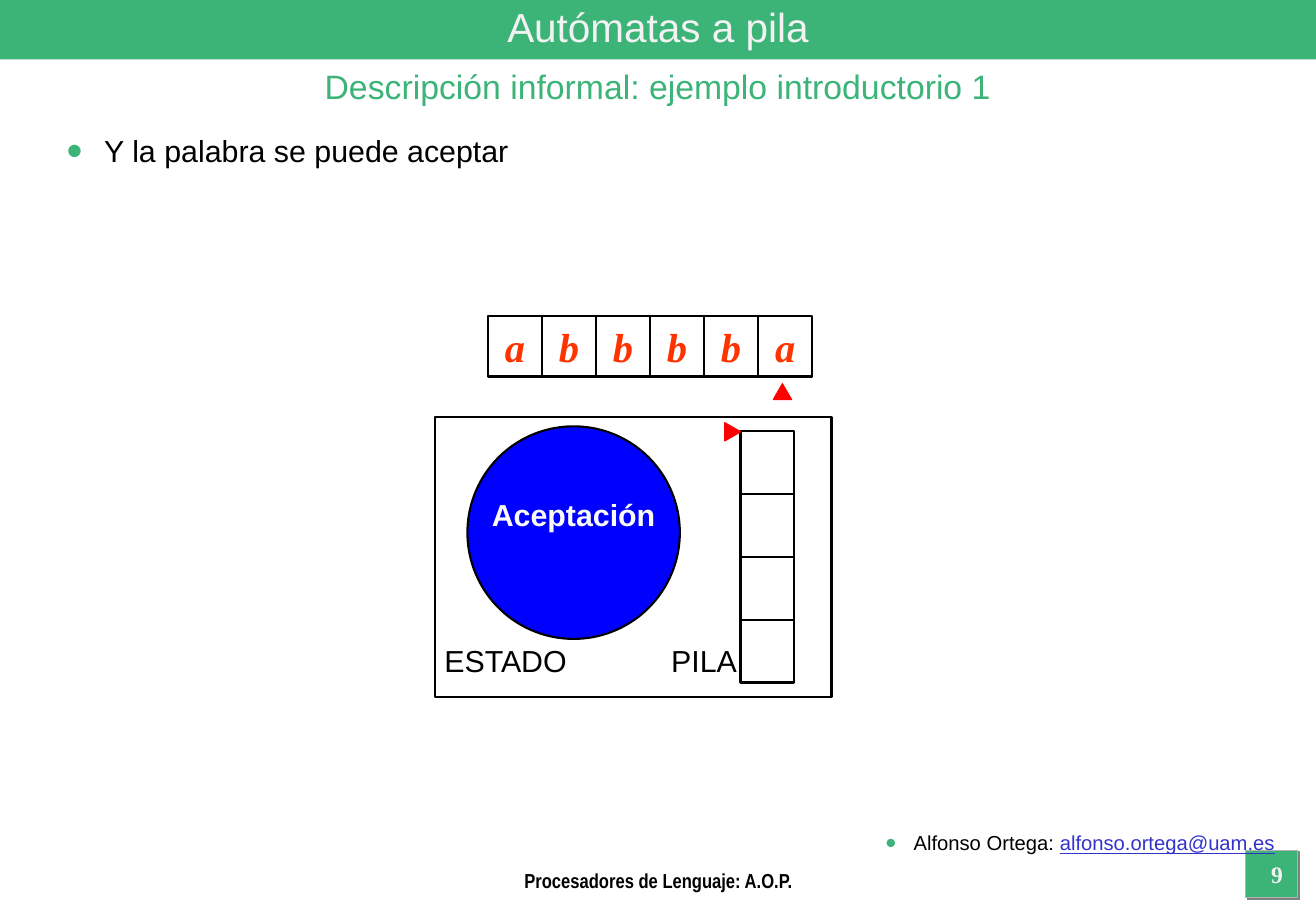
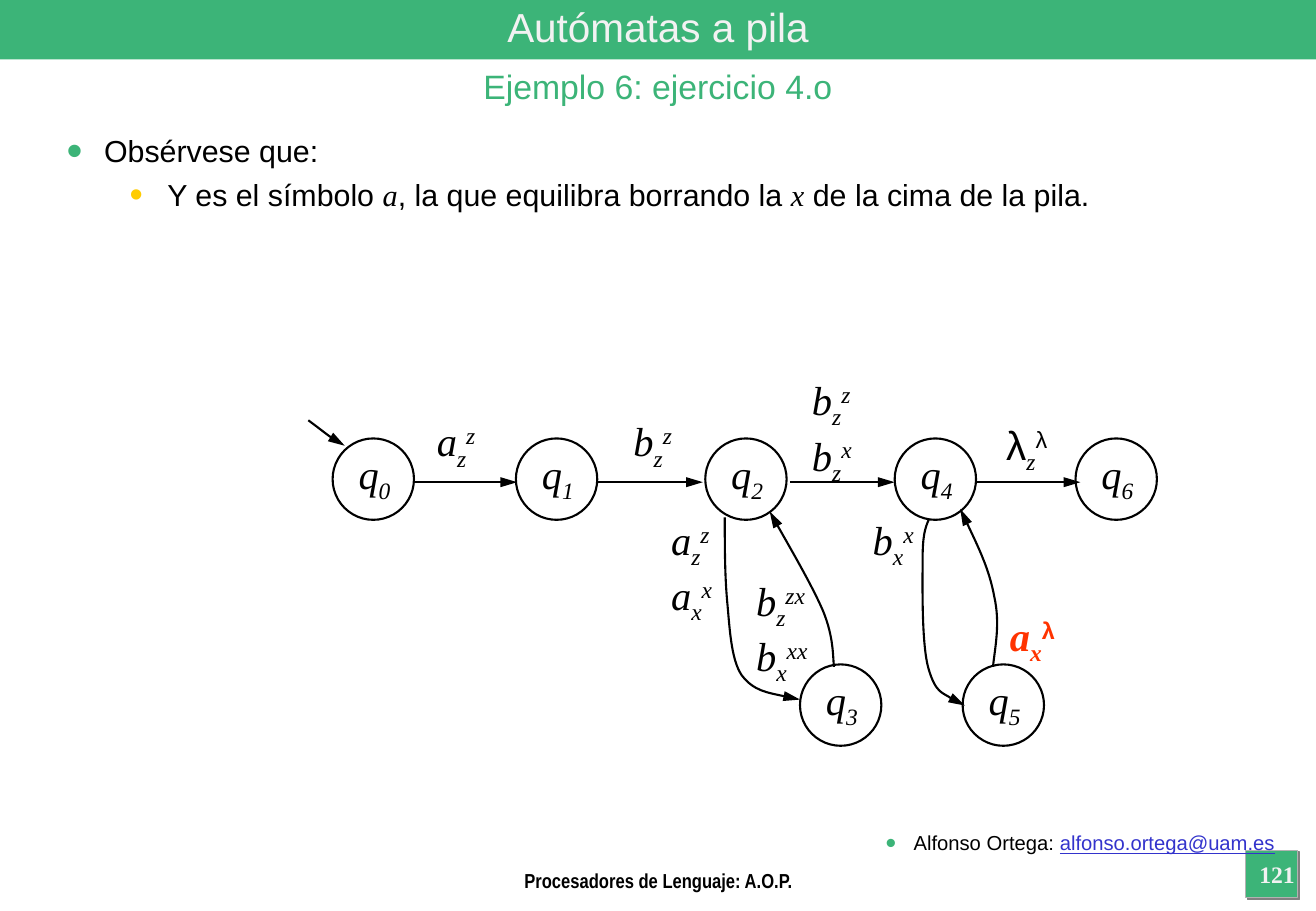
import lxml.etree
import pptx
import pptx.dml.color
import pptx.enum.shapes
import pptx.enum.text
import pptx.oxml.ns
import pptx.util

Inches = pptx.util.Inches
Pt = pptx.util.Pt
qn = pptx.oxml.ns.qn
SHAPES = pptx.enum.shapes.MSO_SHAPE
ALIGN = pptx.enum.text.PP_ALIGN
ANCHOR = pptx.enum.text.MSO_ANCHOR

COLORS = {
    "green": "3CB478", "pale": "F2F2F2", "white": "FAFAFA", "black": "000000",
    "link": "3333CC", "yellow": "FFCC00", "orange": "FF3300", "red": "FF0000",
    "blue": "0000FF", "silver": "B2B2B2", "gray": "808080",
}
SANS, NARROW, SERIF = "Arial", "Arial Narrow", "Times New Roman"
PAGE_WIDTH, PAGE_HEIGHT = 10.84, 7.5
STATE_SIZE = 0.67


def rgb(name):
    return pptx.dml.color.RGBColor.from_string(COLORS[name])


def set_font(font, name=SANS, size=18, color="black", bold=False, italic=False):
    font.name = name
    font.size = Pt(size)
    font.color.rgb = rgb(color)
    font.bold = bold
    font.italic = italic


def set_insets(frame, left=0.1, top=0.05, right=0.1, bottom=0.05):
    frame.margin_left, frame.margin_right = Inches(left), Inches(right)
    frame.margin_top, frame.margin_bottom = Inches(top), Inches(bottom)


def add_child(parent, tag, **attributes):
    return lxml.etree.SubElement(parent, qn(tag), attributes)


def add_bullet(para, color, percent, margin, hanging):
    properties = para._p.get_or_add_pPr()
    properties.set("marL", str(Inches(margin)))
    properties.set("indent", str(-Inches(hanging)))
    bullet_color = add_child(properties, "a:buClr")
    add_child(bullet_color, "a:srgbClr", val=COLORS[color])
    add_child(properties, "a:buSzPct", val=str(percent * 1000))
    add_child(properties, "a:buFont", typeface=SANS)
    add_child(properties, "a:buChar", char="•")


def add_run(para, text, baseline=0):
    run = para.add_run()
    run.text = text
    if baseline:
        run._r.get_or_add_rPr().set("baseline", str(baseline * 1000))
    return run


def add_box(page, left, top, width, height, wrap=True):
    box = page.shapes.add_textbox(Inches(left), Inches(top), Inches(width), Inches(height))
    box.text_frame.word_wrap = wrap
    set_insets(box.text_frame)
    return box.text_frame


def write(para, text, align=ALIGN.CENTER, **font):
    para.alignment = align
    set_font(para.font, **font)
    add_run(para, text)


def add_label(page, text, left, top, width, height, wrap=True, **font):
    frame = add_box(page, left, top, width, height, wrap)
    write(frame.paragraphs[0], text, **font)
    return frame


def add_figure(page, kind, left, top, width, height, fill=None, line="black", weight=1.25):
    figure = page.shapes.add_shape(
        kind, Inches(left), Inches(top), Inches(width), Inches(height))
    figure.shadow.inherit = False
    if fill:
        figure.fill.solid()
        figure.fill.fore_color.rgb = rgb(fill)
    else:
        figure.fill.background()
    if line:
        figure.line.color.rgb = rgb(line)
        figure.line.width = Pt(weight)
    else:
        figure.line.fill.background()
    return figure


def add_frame(page, subtitle, number):
    badge = add_figure(page, SHAPES.RECTANGLE, 10.26, 7, 0.43, 0.39, "green", "silver", 0.75)
    effects = badge.element.spPr.find(qn("a:effectLst"))
    shadow = add_child(effects, "a:outerShdw", dist=str(Pt(1.4)), dir="2700000")
    add_child(shadow, "a:srgbClr", val=COLORS["gray"])
    add_figure(page, SHAPES.RECTANGLE, 0, 0, PAGE_WIDTH, 0.49, "green", None)

    credit = add_box(page, 3.02, 6.79, 7.58, 0.44).paragraphs[0]
    add_bullet(credit, "green", 150, 0.23, 0.23)
    write(credit, "Alfonso Ortega: ", ALIGN.RIGHT, size=12)
    address = add_run(credit, "alfonso.ortega@uam.es")
    address.font.color.rgb = rgb("link")
    address.font.underline = True

    title = add_label(page, "Autómatas a pila", 0, 0, PAGE_WIDTH, 0.44, size=24, color="pale")
    title.vertical_anchor = ANCHOR.MIDDLE
    add_label(page, subtitle, 0, 0.49, PAGE_WIDTH, 0.44, size=20, color="green")
    add_label(page, "Procesadores de Lenguaje: A.O.P.", 3.02, 7.1, 4.81, 0.18,
              name=NARROW, size=12, bold=True)
    add_label(page, str(number), 10.25, 7.03, 0.54, 0.35,
              name=SERIF, size=14, color="pale", bold=True)


def add_body(page, height, heading, detail=()):
    frame = add_box(page, 0.45, 1.04, 9.96, height)
    para = frame.paragraphs[0]
    add_bullet(para, "green", 150, 0.31, 0.31)
    write(para, heading, ALIGN.LEFT)
    if detail:
        para = frame.add_paragraph()
        para.level = 1
        para.space_before = Pt(4.5)
        add_bullet(para, "yellow", 125, 0.83, 0.31)
        set_font(para.font)
        for text, symbol in detail:
            run = add_run(para, text)
            if symbol:
                run.font.name = SERIF
                run.font.italic = True


def add_tape(page, word, left, top, width, height):
    cell_width = width / len(word)
    for index, letter in enumerate(word):
        cell = add_figure(page, SHAPES.RECTANGLE, left + index * cell_width, top,
                          cell_width, height)
        set_insets(cell.text_frame)
        cell.text_frame.vertical_anchor = ANCHOR.TOP
        write(cell.text_frame.paragraphs[0], letter, name=SERIF, size=24,
              color="orange", bold=True, italic=True)


def add_stack(page, count, left, top, width, height):
    cell_height = height / count
    for index in range(count):
        add_figure(page, SHAPES.RECTANGLE, left, top + index * cell_height, width, cell_height)


def add_pointer(page, left, top, rotation):
    pointer = add_figure(page, SHAPES.ISOSCELES_TRIANGLE, left, top, 0.15, 0.13,
                         "red", "red", 0.75)
    pointer.rotation = rotation


def add_circle(page, left, top, size, shift, lift, fill=None):
    circle = add_figure(page, SHAPES.OVAL, left, top, size, size, fill)
    frame = circle.text_frame
    frame.word_wrap = False
    frame.vertical_anchor = ANCHOR.MIDDLE
    set_insets(frame, 2 * shift, 0, 0, 2 * lift)
    return frame.paragraphs[0]


def add_state(page, index, left, top):
    para = add_circle(page, left, top, STATE_SIZE, 0.01, 0.02)
    write(para, "q", name=SERIF, size=24, italic=True)
    add_run(para, str(index), -25)


def add_transitions(page, left, top, rules, color="black", bold=False):
    frame = add_box(page, left, top, 0.7, 0.11 + 0.45 * len(rules))
    for index, rule in enumerate(rules):
        para = frame.add_paragraph() if index else frame.paragraphs[0]
        set_font(para.font, SERIF, 24, color, bold, italic=True)
        for text, baseline in zip(rule, (0, -25, 30)):
            run = add_run(para, text, baseline)
            if text == "λ":
                run.font.name = SANS
                run.font.italic = False


def finish_arrow(arrow):
    arrow.line.color.rgb = rgb("black")
    arrow.line.width = Pt(1.25)
    properties = arrow.element.spPr
    add_child(properties.find(qn("a:ln")), "a:tailEnd", type="triangle", w="med", len="lg")
    if properties.find(qn("a:effectLst")) is None:
        add_child(properties, "a:effectLst")


def add_arrow(page, left, top, length):
    finish_arrow(page.shapes.add_connector(
        pptx.enum.shapes.MSO_CONNECTOR.STRAIGHT,
        Inches(left), Inches(top), Inches(left + length), Inches(top)))


def bend_segments(curve):
    segments = list(curve.element.iter(qn("a:lnTo")))
    outline = segments[0].getparent()
    for first in range(0, len(segments), 3):
        bend = add_child(outline, "a:cubicBezTo")
        for segment in segments[first:first + 3]:
            bend.append(segment[0])
            outline.remove(segment)


def add_curve(page, points):
    start, *others = [(Inches(left), Inches(top)) for left, top in points]
    builder = page.shapes.build_freeform(*start)
    builder.add_line_segments(others, close=False)
    curve = builder.convert_to_shape()
    bend_segments(curve)
    curve.shadow.inherit = False
    curve.fill.background()
    finish_arrow(curve)


def build_acceptance(page):
    add_frame(page, "Descripción informal: ejemplo introductorio 1", 9)
    add_body(page, 1.39, "Y la palabra se puede aceptar")
    add_tape(page, "abbbba", 4.02, 2.6, 2.67, 0.5)
    add_figure(page, SHAPES.RECTANGLE, 3.58, 3.43, 3.27, 2.31)
    state = add_circle(page, 3.85, 3.51, 1.75, 0, 0.15, "blue")
    write(state, "Aceptación", color="white", bold=True)
    add_stack(page, 4, 6.1, 3.55, 0.44, 2.07)
    add_pointer(page, 6.37, 3.16, 0)
    add_pointer(page, 5.96, 3.49, 90)
    add_label(page, "ESTADO", 3.55, 5.24, 1.23, 0.4, wrap=False)
    add_label(page, "PILA", 5.43, 5.24, 0.74, 0.4, wrap=False)


def build_exercise(page):
    add_frame(page, "Ejemplo 6: ejercicio 4.o", 121)
    add_body(page, 5.8, "Obsérvese que:", [
        ("Y es el símbolo ", False), ("a", True),
        (", la que equilibra borrando la ", False), ("x", True),
        (" de la cima de la pila.", False)])

    for index, left in ((0, 2.74), (1, 4.25), (2, 5.81), (4, 7.37), (6, 8.86)):
        add_state(page, index, left, 3.61)
    for index, left in ((3, 6.59), (5, 7.93)):
        add_state(page, index, left, 5.47)

    for left in (3.4, 4.93, 6.51, 8.04):
        add_arrow(page, left, 3.97, 0.86)
    for points in (
        [(2.54, 3.46), (2.66, 3.55), (2.77, 3.64), (2.84, 3.67)],
        [(5.97, 4.26), (5.97, 4.5), (5.97, 4.73), (5.99, 4.95), (6.01, 5.16),
         (6.02, 5.43), (6.11, 5.56), (6.21, 5.69), (6.4, 5.72), (6.59, 5.76)],
        [(6.87, 5.49), (6.86, 5.41), (6.87, 5.25), (6.78, 5.03), (6.69, 4.82),
         (6.41, 4.34), (6.34, 4.21)],
        [(7.65, 4.28), (7.62, 4.35), (7.6, 4.41), (7.6, 4.61), (7.6, 4.82),
         (7.59, 5.31), (7.65, 5.51), (7.71, 5.71), (7.93, 5.81), (7.95, 5.81)],
        [(8.18, 5.49), (8.2, 5.31), (8.24, 5.13), (8.19, 4.91), (8.15, 4.69),
         (8.03, 4.44), (7.91, 4.19)],
    ):
        add_curve(page, points)

    for left, top, rules in (
        (3.5, 3.38, ["azz"]),
        (5.12, 3.38, ["bzz"]),
        (6.59, 3.04, ["bzz", "bzx"]),
        (8.19, 3.41, ["λzλ"]),
        (5.43, 4.19, ["azz", "axx"]),
        (6.13, 4.69, [("b", "z", "zx"), ("b", "x", "xx")]),
        (7.09, 4.19, ["bxx"]),
    ):
        add_transitions(page, left, top, rules)
    add_transitions(page, 8.22, 4.98, ["axλ"], "orange", bold=True)


def main():
    deck = pptx.Presentation()
    deck.slide_width = Inches(PAGE_WIDTH)
    deck.slide_height = Inches(PAGE_HEIGHT)
    for build in (build_acceptance, build_exercise):
        build(deck.slides.add_slide(deck.slide_layouts[6]))
    deck.save("out.pptx")


if __name__ == "__main__":
    main()
